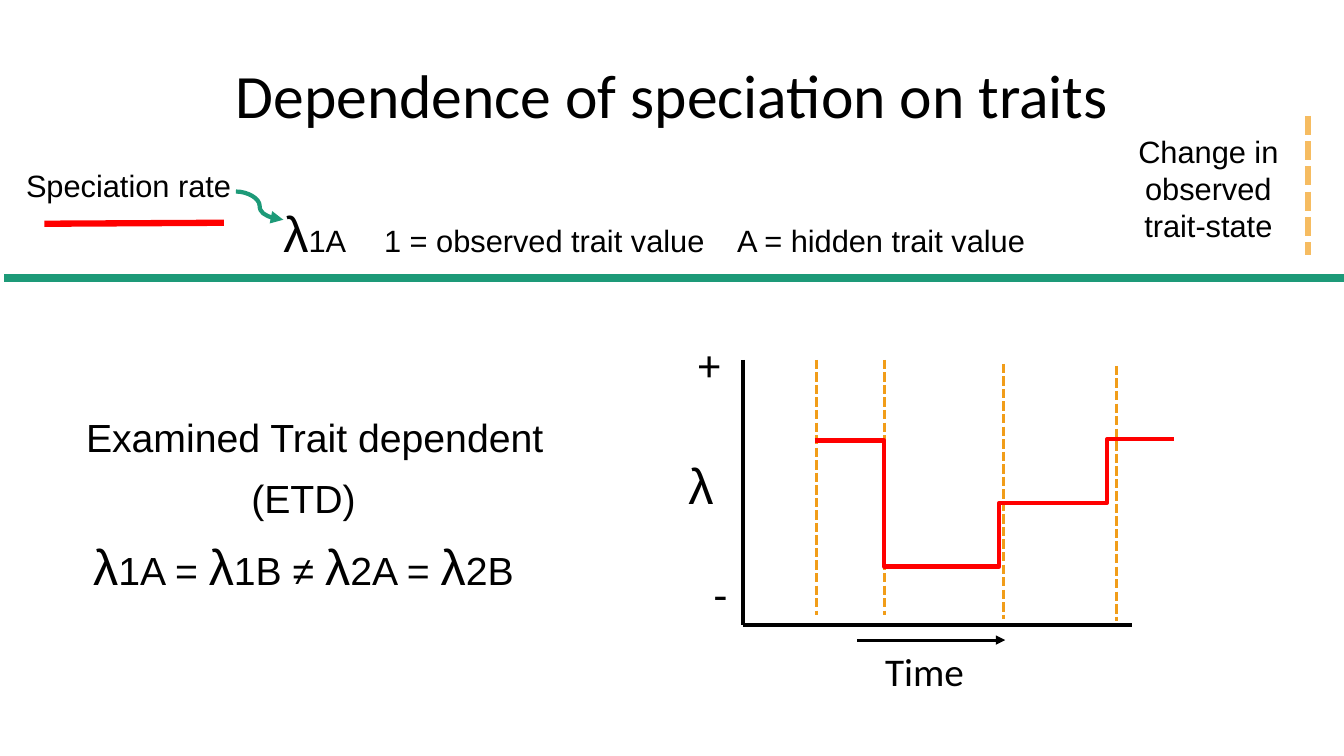
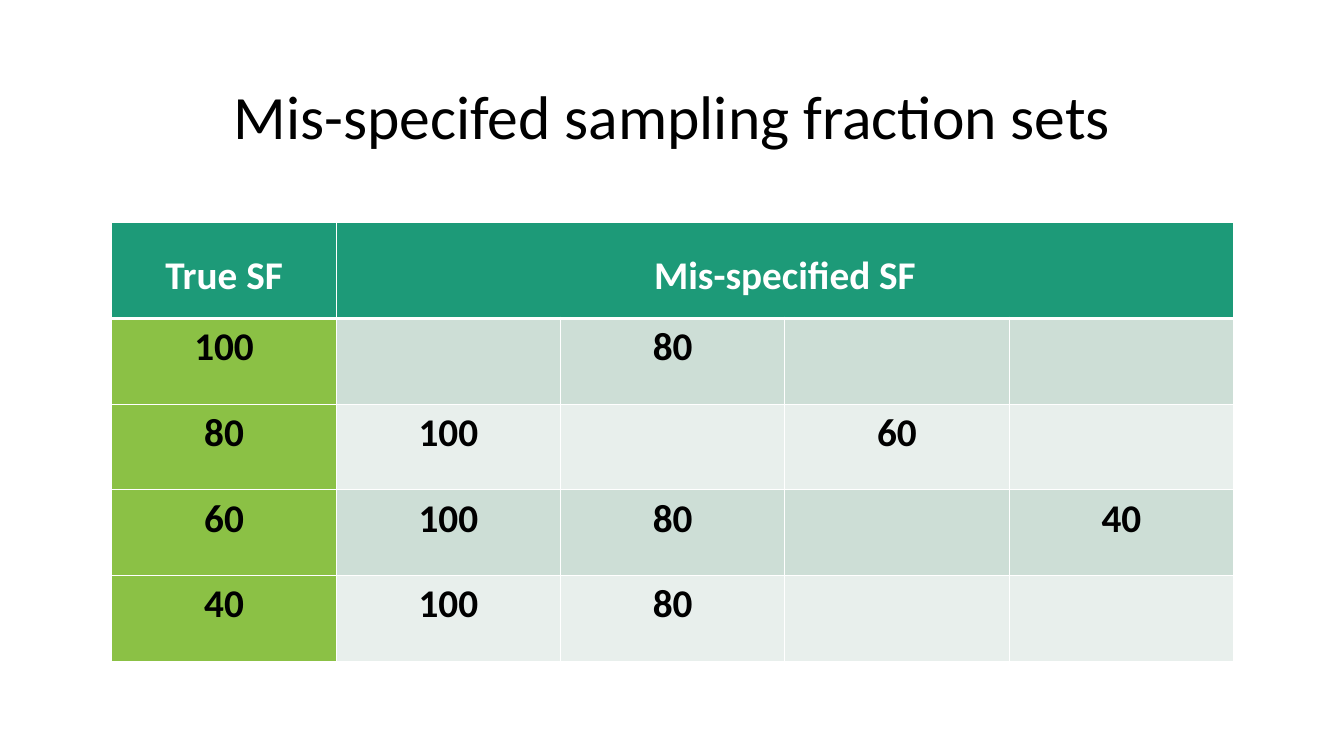
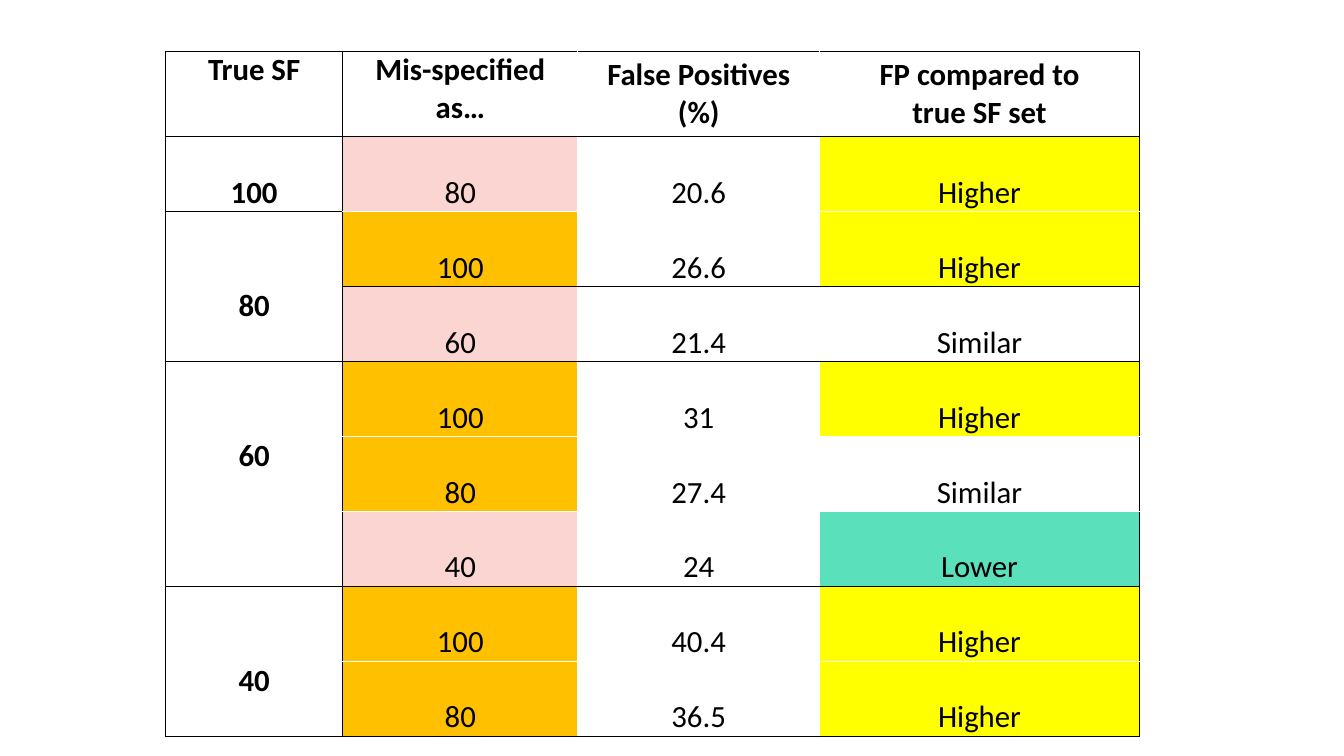
import pptx
import pptx.chart.data
import pptx.dml.color
import pptx.enum.dml
import pptx.enum.shapes
import pptx.enum.text
import pptx.oxml
import pptx.oxml.ns
import pptx.util

Inches = pptx.util.Inches
Pt = pptx.util.Pt
ALIGN = pptx.enum.text.PP_ALIGN
ANCHOR = pptx.enum.text.MSO_ANCHOR
DASH = pptx.enum.dml.MSO_LINE
CONNECTOR = pptx.enum.shapes.MSO_CONNECTOR

COLORS = {
    "black": "000000", "white": "FFFFFF", "green": "1D9A78", "red": "FF0000",
    "orange": "F19D19", "pale orange": "F6BC61", "lime": "8BC145",
    "band dark": "CDDED6", "band light": "E8EFEC", "pink": "FBD5D1",
    "amber": "FFC000", "yellow": "FFFF00", "mint": "5AE0BB",
}

# Slide 1
TRAIT_TITLE = "Dependence of speciation on traits"
LEGEND = [("λ", 36), ("1A\t1 = observed trait value\tA = hidden trait value", 22)]
LEGEND_TABS = (1.08, 4.79)
MODEL = [
    [("Examined Trait dependent", 28)],
    [("(ETD)", 28)],
    [("λ", 36), ("1A = ", 28), ("λ", 36), ("1B ≠ ", 28),
     ("λ", 36), ("2A = ", 28), ("λ", 36), ("2B", 28)],
]
# text, size, font, alignment, (left, top, width, height)
LABELS = [
    ("λ", 36, "Arial", ALIGN.LEFT, (6.73, 4.46, 0.79, 0.71)),
    ("Time", 28, "Calibri", ALIGN.LEFT, (8.68, 6.37, 1.84, 0.59)),
    ("-", 32, "Calibri", ALIGN.CENTER, (6.92, 5.57, 0.45, 1.01)),
    ("+", 32, "Calibri", ALIGN.CENTER, (6.81, 3.29, 0.45, 1.01)),
    ("Speciation rate", 22, "Arial", ALIGN.CENTER, (0, 1.61, 2.55, 0.47)),
    ("Change in observed trait-state", 22, "Arial", ALIGN.CENTER, (11.12, 1.27, 1.73, 1.21)),
]
TRAIT_CHANGES = [(8.1, 3.57), (8.77, 3.57), (9.95, 3.61), (11.07, 3.63)]
CHANGE_HEIGHT = 2.53
# start, x of the jump, end
RATE_STEPS = [
    ((8.08, 4.37), 8.77, (9.47, 5.62)),
    ((9.45, 5.62), 9.91, (10.26, 4.99)),
    ((10.18, 4.99), 10.98, (11.64, 4.36)),
]

# Slide 2
SETS_TITLE = "Mis-specifed sampling fraction sets"
SETS_HEADER = ["True SF", "Mis-specified SF", "", "", ""]
SETS_ROWS = [
    ["100", "", "80", "", ""],
    ["80", "100", "", "60", ""],
    ["60", "100", "80", "", "40"],
    ["40", "100", "80", "", ""],
]

# Slide 3
RESULT_HEADER = ["True SF", "Mis-specified as…", "False Positives (%)",
                 "FP compared to\ntrue SF set"]
RESULTS = [
    ("100", [("80", "20.6", "Higher")]),
    ("80", [("100", "26.6", "Higher"), ("60", "21.4", "Similar")]),
    ("60", [("100", "31", "Higher"), ("80", "27.4", "Similar"), ("40", "24", "Lower")]),
    ("40", [("100", "40.4", "Higher"), ("80", "36.5", "Higher")]),
]
RESULT_WIDTHS = (1.76, 2.33, 2.4, 3.17)
RESULT_RULES = (0, 2, 3, 6, 8)  # rows with a black line below
OUTCOME_FILLS = {"Higher": "yellow", "Similar": "white", "Lower": "mint"}


def rgb(name):
    return pptx.dml.color.RGBColor.from_string(COLORS[name])


def write(frame, paragraphs, font="Calibri", color="black", bold=False,
          align=ALIGN.CENTER, spacing=None, before=0):
    """Fill a text frame from paragraphs made of (text, size) spans."""
    frame.word_wrap = True
    for index, spans in enumerate(paragraphs):
        para = frame.add_paragraph() if index else frame.paragraphs[0]
        para.alignment = align
        para.line_spacing = spacing
        para.space_before = Pt(before if index else 0)
        for text, size in spans:
            span = para.add_run()
            span.text = text
            style = {"name": font, "size": Pt(size), "bold": bold}
            for key, value in style.items():
                setattr(span.font, key, value)
            span.font.color.rgb = rgb(color)


def place(shape, *box):
    for key, value in zip(("left", "top", "width", "height"), box):
        setattr(shape, key, Inches(value))


def add_title(page, text, top):
    title = page.shapes.title
    place(title, 0.92, top, 11.5, 1.45)
    write(title.text_frame, [[(text, 44)]], spacing=0.9)
    title.text_frame.vertical_anchor = ANCHOR.MIDDLE
    title.text_frame.auto_size = pptx.enum.text.MSO_AUTO_SIZE.NONE


def add_text(page, box, paragraphs, **style):
    shape = page.shapes.add_textbox(*map(Inches, box))
    write(shape.text_frame, paragraphs, **style)
    return shape


def add_line(page, start, end, color, width, kind=CONNECTOR.STRAIGHT, dash=None, arrow=False):
    line = page.shapes.add_connector(kind, *map(Inches, start + end))
    line.line.color.rgb = rgb(color)
    line.line.width = Pt(width)
    if dash:
        line.line.dash_style = dash
    if arrow:
        pptx.oxml.ns.qn("a:tailEnd")
        head = line.line._get_or_add_ln().makeelement(
            pptx.oxml.ns.qn("a:tailEnd"), {"type": "triangle"})
        line.line._get_or_add_ln().append(head)
    properties = line._element.spPr
    properties.append(properties.makeelement(pptx.oxml.ns.qn("a:effectLst"), {}))
    return line


def add_step(page, start, jump, end):
    """Draw an elbow line whose vertical part stands at x = jump."""
    step = add_line(page, start, end, "red", 3, CONNECTOR.ELBOW)
    share = round((jump - start[0]) / (end[0] - start[0]) * 100000)
    shape_values = step._element.spPr.find(pptx.oxml.ns.qn("a:prstGeom")).get_or_add_avLst()
    shape_values.append(shape_values.makeelement(
        pptx.oxml.ns.qn("a:gd"), {"name": "adj1", "fmla": f"val {share}"}))


def format_legend(para):
    """Drop the bullet and set the tab stops."""
    properties = para._p.get_or_add_pPr()
    properties.set("marL", "0")
    properties.set("indent", "0")
    stops = "".join(f'<a:tab pos="{Inches(stop)}" algn="l"/>' for stop in LEGEND_TABS)
    for xml in ("<a:buNone {}/>", "<a:tabLst {}>" + stops + "</a:tabLst>"):
        properties.append(pptx.oxml.parse_xml(xml.format(pptx.oxml.ns.nsdecls("a"))))


def add_table(page, left, top, widths, heights):
    frame = page.shapes.add_table(len(heights), len(widths), Inches(left), Inches(top),
                                  Inches(sum(widths)), Inches(sum(heights)))
    table = frame.table
    table.first_row = table.horz_banding = False
    for column, width in zip(table.columns, widths):
        column.width = Inches(width)
    for row, height in zip(table.rows, heights):
        row.height = Inches(height)
    return table


def paint_cell(cell, fill, borders):
    """Set the fill and the left, right, top and bottom (colour, width) borders."""
    properties = cell._tc.get_or_add_tcPr()
    for side, (color, width) in zip("LRTB", borders):
        properties.append(pptx.oxml.parse_xml(
            f'<a:ln{side} {pptx.oxml.ns.nsdecls("a")} w="{Pt(width)}"><a:solidFill>'
            f'<a:srgbClr val="{COLORS[color]}"/></a:solidFill></a:ln{side}>'))
    cell.fill.solid()
    cell.fill.fore_color.rgb = rgb(fill)


def build_traits(deck):
    page = deck.slides.add_slide(deck.slide_layouts[1])
    add_title(page, TRAIT_TITLE, 0.25)

    legend = page.placeholders[1]
    place(legend, 2.36, 1.35, 8.56, 1.42)
    legend.text_frame.auto_size = pptx.enum.text.MSO_AUTO_SIZE.NONE
    legend.text_frame.margin_left = Inches(0.45)
    format_legend(legend.text_frame.paragraphs[0])
    write(legend.text_frame, [LEGEND], font="Arial", align=ALIGN.LEFT, spacing=2.0)

    model = add_text(page, (0.51, 4.05, 5.22, 2.11), MODEL, font="Arial", before=10)
    model.text_frame.paragraphs[1]._p.get_or_add_pPr().set("marR", str(Inches(0.22)))
    for text, size, font, align, box in LABELS:
        add_text(page, box, [[(text, size)]], font=font, align=align)

    add_line(page, (7.37, 3.57), (7.37, 6.2), "black", 2.25)
    add_line(page, (7.37, 6.2), (11.23, 6.2), "black", 2.25)
    add_line(page, (8.5, 6.35), (9.97, 6.35), "black", 2.25, arrow=True)
    for x, top in TRAIT_CHANGES:
        add_line(page, (x, top), (x, top + CHANGE_HEIGHT), "orange", 2.25, dash=DASH.SQUARE_DOT)
    for step in RATE_STEPS:
        add_step(page, *step)

    add_line(page, (0.04, 2.76), (13.33, 2.76), "green", 6)
    add_line(page, (2.34, 1.9), (2.81, 2.18), "green", 3, CONNECTOR.CURVE, arrow=True)
    add_line(page, (0.44, 2.22), (2.22, 2.21), "red", 4.5)
    add_line(page, (12.97, 1.15), (12.97, 2.53), "pale orange", 4.5, dash=DASH.SQUARE_DOT)


def build_sets(deck):
    page = deck.slides.add_slide(deck.slide_layouts[5])
    add_title(page, SETS_TITLE, 0.46)
    table = add_table(page, 1.11, 2.21, [2.225] * 5, [0.95] + [0.85] * 4)
    table.cell(0, 1).merge(table.cell(0, 4))
    thin, thick = ("white", 1), ("white", 3)
    for r, row in enumerate([SETS_HEADER] + SETS_ROWS):
        for c, text in enumerate(row):
            cell = table.cell(r, c)
            if r == 0:
                fill = "green"
            elif c == 0:
                fill = "lime"
            else:
                fill = "band dark" if r % 2 else "band light"
            paint_cell(cell, fill, (thin, thin, thick if r == 1 else thin,
                                    thin if r else thick))
            if text:
                write(cell.text_frame, [[(text, 28)]], bold=True,
                      color="black" if r else "white", spacing=None if r else 1.5)


def build_results(deck):
    page = deck.slides.add_slide(deck.slide_layouts[6])
    rows = [RESULT_HEADER]
    groups = {}
    for true_value, outcomes in RESULTS:
        groups[len(rows)] = len(outcomes)
        rows += [(true_value if not i else "",) + outcome for i, outcome in enumerate(outcomes)]
    table = add_table(page, 1.64, 0.51, RESULT_WIDTHS, [0.84] + [0.74] * (len(rows) - 1))
    true_value = None
    for r, row in enumerate(rows):
        true_value = row[0] or true_value
        for c, text in enumerate(row):
            cell = table.cell(r, c)
            fill = "white"
            if r and c == 1:
                fill = "amber" if int(text) > int(true_value) else "pink"
            elif r and c == 3:
                fill = OUTCOME_FILLS[text]
            black = (c < 2, c in (0, 3), c == 0 or r - 1 in RESULT_RULES or r == 0,
                     c == 0 or r in RESULT_RULES)
            paint_cell(cell, fill, [("black" if side else "white", 1) for side in black])
            if r or c < 2:
                cell.margin_left = cell.margin_right = Inches(0.05)
                cell.margin_top = cell.margin_bottom = 0
            grouped = c == 0 and groups.get(r, 1) > 1
            if grouped:
                cell.merge(table.cell(r + groups[r] - 1, 0))
                cell.margin_top = Inches(0.75)
            if text:
                write(cell.text_frame, [[(part, 22)] for part in text.split("\n")],
                      bold=r == 0 or c == 0, spacing=2.0 if r and not grouped else None)


def main():
    deck = pptx.Presentation()
    deck.slide_width, deck.slide_height = Inches(13.33), Inches(7.5)
    build_traits(deck)
    build_sets(deck)
    build_results(deck)
    deck.save("out.pptx")


if __name__ == "__main__":
    main()
